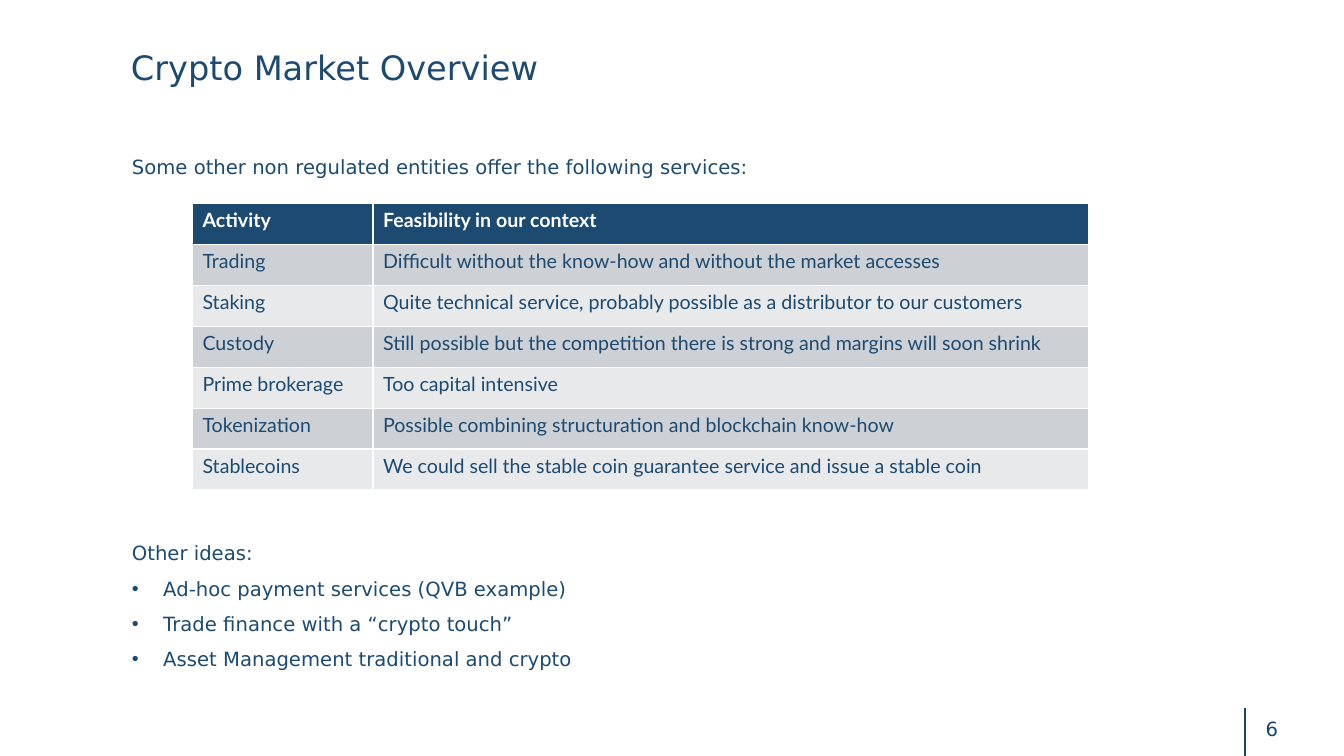
from dataclasses import dataclass

import lxml.etree
import pptx
import pptx.dml.color
import pptx.enum.shapes
import pptx.enum.text
import pptx.oxml.ns
import pptx.util

Cm = pptx.util.Cm
Pt = pptx.util.Pt
qn = pptx.oxml.ns.qn
ALIGN = pptx.enum.text.PP_ALIGN
ANCHOR = pptx.enum.text.MSO_ANCHOR


@dataclass(frozen=True)
class Theme:
    navy: str = "1C4A70"
    rule: str = "16446B"
    white: str = "FFFFFF"
    bands: tuple = ("CDD0D5", "E8E9EB")
    font: str = "DejaVu Sans"
    table_font: str = "Lato"
    title_size: int = 24
    body_size: int = 14


THEME = Theme()

ACTIVITIES = [
    ("Activity", "Feasibility in our context"),
    ("Trading", "Difficult without the know-how and without the market accesses"),
    ("Staking", "Quite technical service, probably possible as a distributor to our customers"),
    ("Custody", "Still possible but the competition there is strong and margins will soon shrink"),
    ("Prime brokerage", "Too capital intensive"),
    ("Tokenization", "Possible combining structuration and blockchain know-how"),
    ("Stablecoins", "We could sell the stable coin guarantee service and issue a stable coin"),
]
IDEAS = [
    "Ad-hoc payment services (QVB example)",
    "Trade finance with a “crypto touch”",
    "Asset Management traditional and crypto",
]


def rgb(value):
    return pptx.dml.color.RGBColor.from_string(value)


def write(p, text, size=THEME.body_size, color=THEME.navy, font=THEME.font,
          bold=False, align=ALIGN.LEFT, spacing=1.0, before=0):
    p.alignment = align
    p.line_spacing = spacing
    p.space_before = Pt(before)
    r = p.add_run()
    r.text = text
    r.font.size = Pt(size)
    r.font.name = font
    r.font.bold = bold
    r.font.color.rgb = rgb(color)


def set_bullet(p, char=None, indent=0):
    pPr = p._p.get_or_add_pPr()
    pPr.set("marL", str(indent))
    pPr.set("indent", str(-indent))
    if char:
        lxml.etree.SubElement(pPr, qn("a:buChar")).set("char", char)
    else:
        lxml.etree.SubElement(pPr, qn("a:buNone"))


def place(sp, box):
    sp.left, sp.top, sp.width, sp.height = (Cm(v) for v in box)
    tf = sp.text_frame
    tf.word_wrap = True
    tf.auto_size = pptx.enum.text.MSO_AUTO_SIZE.NONE
    tf.vertical_anchor = ANCHOR.TOP
    return tf


def add_title(s, box):
    tf = place(s.shapes.title, box)
    tf.margin_left = tf.margin_top = 0
    write(tf.paragraphs[0], "Crypto Market Overview", size=THEME.title_size, spacing=0.9)


def add_body(s, box, table_gap):
    tf = place(s.placeholders[1], box)
    lines = [
        ("Some other non regulated entities offer the following services:", 10, None),
        ("Other ideas:", table_gap, None),
    ] + [(idea, 10, "•") for idea in IDEAS]
    for i, (text, before, char) in enumerate(lines):
        p = tf.add_paragraph() if i else tf.paragraphs[0]
        write(p, text, spacing=0.9, before=before)
        set_bullet(p, char, Cm(0.79) if char else 0)


def add_activities(s, box, first_col):
    left, top, width, height = box
    rows = len(ACTIVITIES)
    table = s.shapes.add_table(rows, 2, Cm(left), Cm(top), Cm(width), Cm(height)).table
    table.columns[0].width = Cm(first_col)
    table.columns[1].width = Cm(width - first_col)
    for i, texts in enumerate(ACTIVITIES):
        header = i == 0
        table.rows[i].height = Cm(height / rows)
        for j, text in enumerate(texts):
            cell = table.cell(i, j)
            cell.fill.solid()
            cell.fill.fore_color.rgb = rgb(THEME.navy if header else THEME.bands[(i - 1) % 2])
            write(cell.text_frame.paragraphs[0], text, font=THEME.table_font, bold=header,
                  color=THEME.white if header else THEME.navy)


def add_page_number(s, box, number):
    left, top, width, height = box
    line = s.shapes.add_connector(pptx.enum.shapes.MSO_CONNECTOR.STRAIGHT,
                                  Cm(left), Cm(top + height), Cm(left), Cm(top))
    line.line.color.rgb = rgb(THEME.rule)
    line.line.width = Pt(1.5)
    lxml.etree.SubElement(line._element.spPr, qn("a:effectLst"))
    text_box = (left, top + 0.1, width, 0.86)
    tf = place(s.shapes.add_textbox(0, 0, 0, 0), text_box)
    write(tf.paragraphs[0], str(number), color=THEME.rule, align=ALIGN.CENTER)


def build_overview(prs):
    s = prs.slides.add_slide(prs.slide_layouts[1])
    s.background.fill.solid()
    s.background.fill.fore_color.rgb = rgb(THEME.white)
    add_page_number(s, (31.37, 17.83, 1.37, 1.22), 6)
    add_title(s, (3.3, 1.3, 29.64, 1.12))
    add_body(s, (3.07, 3.84, 28.32, 13.61), table_gap=261)
    add_activities(s, (4.85, 5.13, 22.58, 7.22), first_col=4.55)


def main():
    prs = pptx.Presentation()
    prs.slide_width = Cm(33.87)
    prs.slide_height = Cm(19.05)
    build_overview(prs)
    prs.save("out.pptx")


if __name__ == "__main__":
    main()
